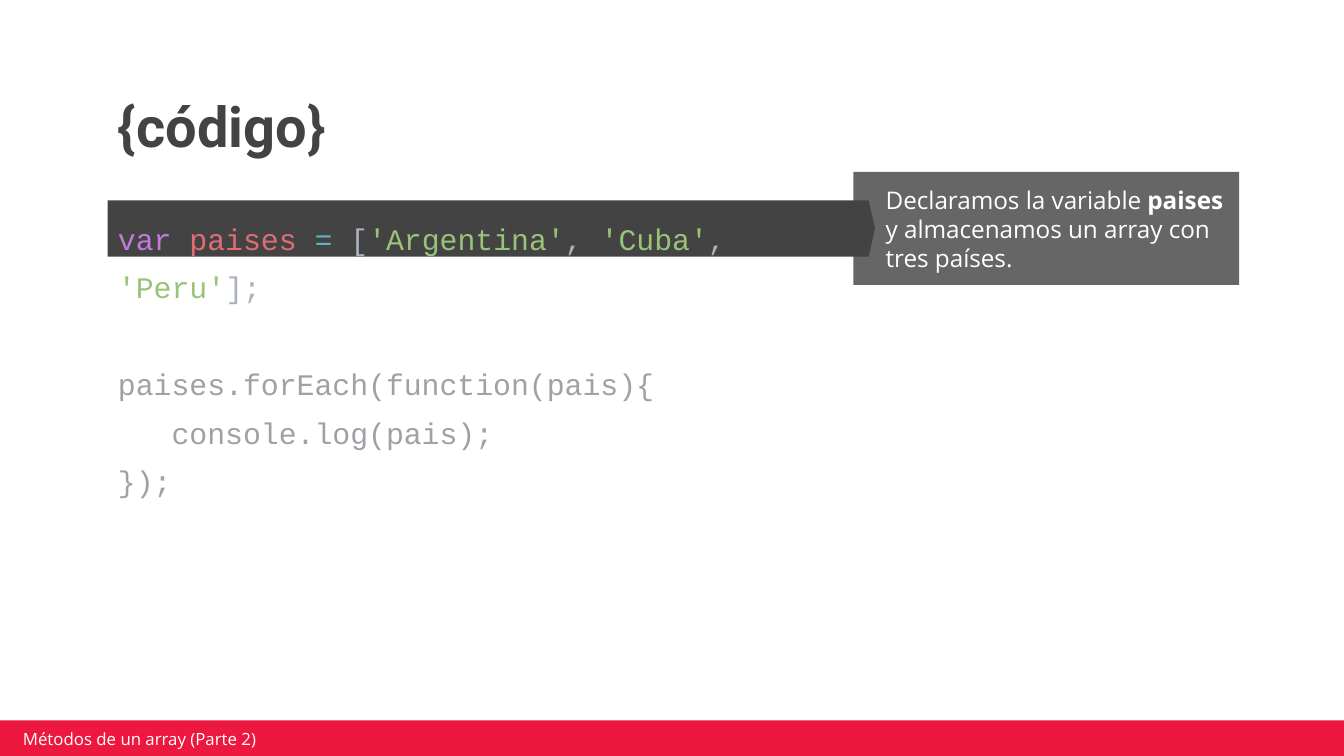
from pptx import Presentation
from pptx.dml.color import RGBColor
from pptx.enum.shapes import MSO_SHAPE
from pptx.enum.text import MSO_ANCHOR, PP_ALIGN
from pptx.util import Inches, Pt

RECT, ARROW = MSO_SHAPE.RECTANGLE, MSO_SHAPE.RIGHT_ARROW
TOP, MID, LOW = MSO_ANCHOR.TOP, MSO_ANCHOR.MIDDLE, MSO_ANCHOR.BOTTOM
LEFT = PP_ALIGN.LEFT

HUES = {
    "dark": "434343", "gray": "666666", "red": "EC183F", "white": "FFFFFF",
    "key": "C678DD", "name": "E06C75", "op": "56B6C2",
    "mark": "ABB2BF", "text": "98C379", "dim": "A0A1A7",
}

# Each code line is a list of (text, hue) pairs
CODE = [
    [("var ", "key"), ("paises ", "name"), ("=", "op"), (" [", "mark"),
     ("'Argentina'", "text"), (", ", "mark"), ("'Cuba'", "text"),
     (", ", "mark"), ("'Peru'", "text"), ("];", "mark")],
    [("paises.forEach(function(pais){", "dim")],
    [("   console.log(pais);", "dim")],
    [("});", "dim")],
]


def color(hue):
    return RGBColor.from_string(HUES[hue])


def add_box(slide, box, kind, hue):
    shape = slide.shapes.add_shape(kind, *map(Inches, box))
    shape.shadow.inherit = False
    shape.fill.solid()
    shape.fill.fore_color.rgb = color(hue)
    shape.line.fill.background()
    return shape


def add_label(slide, box):
    return slide.shapes.add_textbox(*map(Inches, box))


def set_frame(shape, anchor, pads):
    frame = shape.text_frame
    frame.word_wrap = True
    frame.vertical_anchor = anchor
    (frame.margin_left, frame.margin_top,
     frame.margin_right, frame.margin_bottom) = map(Inches, pads)
    return frame


def add_runs(para, parts, face, size, bold=()):
    para.alignment = LEFT
    for text, hue in parts:
        run = para.add_run()
        run.text = text
        font = run.font
        font.name, font.size = face, Pt(size)
        font.bold = text in bold
        font.color.rgb = color(hue)


def draw_title(slide, box):
    frame = set_frame(add_label(slide, box), LOW, [0.1] * 4)
    para = frame.paragraphs[0]
    para.line_spacing = 0.9
    add_runs(para, [("{código}", "dark")], "Roboto", 30, ["{código}"])


def draw_note(slide, box):
    shape = add_box(slide, box, RECT, "gray")
    frame = set_frame(shape, MID, (0.24, 0, 0.1, 0))
    parts = ["Declaramos la variable ", "paises",
             " y almacenamos un array con tres países."]
    add_runs(frame.paragraphs[0], [(part, "white") for part in parts],
             "Open Sans", 13, ["paises"])


def draw_code(slide, box):
    left, top, wide, _ = box
    # Band behind the first line, pointing at the note
    band = add_box(slide, (left + 0.02, top + 0.2, wide + 0.15, 0.42),
                   ARROW, "dark")
    band.adjustments[0], band.adjustments[1] = 1, 0.11

    frame = set_frame(add_label(slide, box), TOP, (0.1, 0.26, 0.1, 0.1))
    for row, parts in enumerate(CODE):
        para = frame.add_paragraph() if row else frame.paragraphs[0]
        para.line_spacing = 1.35
        if row == 1:
            para.space_before = Pt(26)  # one line of gap
        add_runs(para, parts, "Courier New", 16)


def draw_footer(slide, box):
    left, top, _, _ = box
    add_box(slide, box, RECT, "red")
    label = add_label(slide, (left + 0.14, top + 0.06, 2.39, 0.15))
    frame = set_frame(label, MID, (0.05, 0.02, 0.05, 0.02))
    add_runs(frame.paragraphs[0],
             [("Métodos de un array (Parte 2)", "white")], "Open Sans", 9)


def main():
    deck = Presentation()
    # Widescreen, 16 to 9
    deck.slide_width = Inches(10)
    deck.slide_height = deck.slide_width * 9 // 16
    slide = deck.slides.add_slide(deck.slide_layouts[6])
    draw_title(slide, (0.78, 0.6, 8.43, 0.69))
    draw_note(slide, (6.35, 1.28, 2.87, 0.84))
    draw_code(slide, (0.78, 1.29, 5.56, 4.07))
    draw_footer(slide, (-0.02, 5.36, 10.03, 0.27))
    deck.save("out.pptx")


if __name__ == "__main__":
    main()
